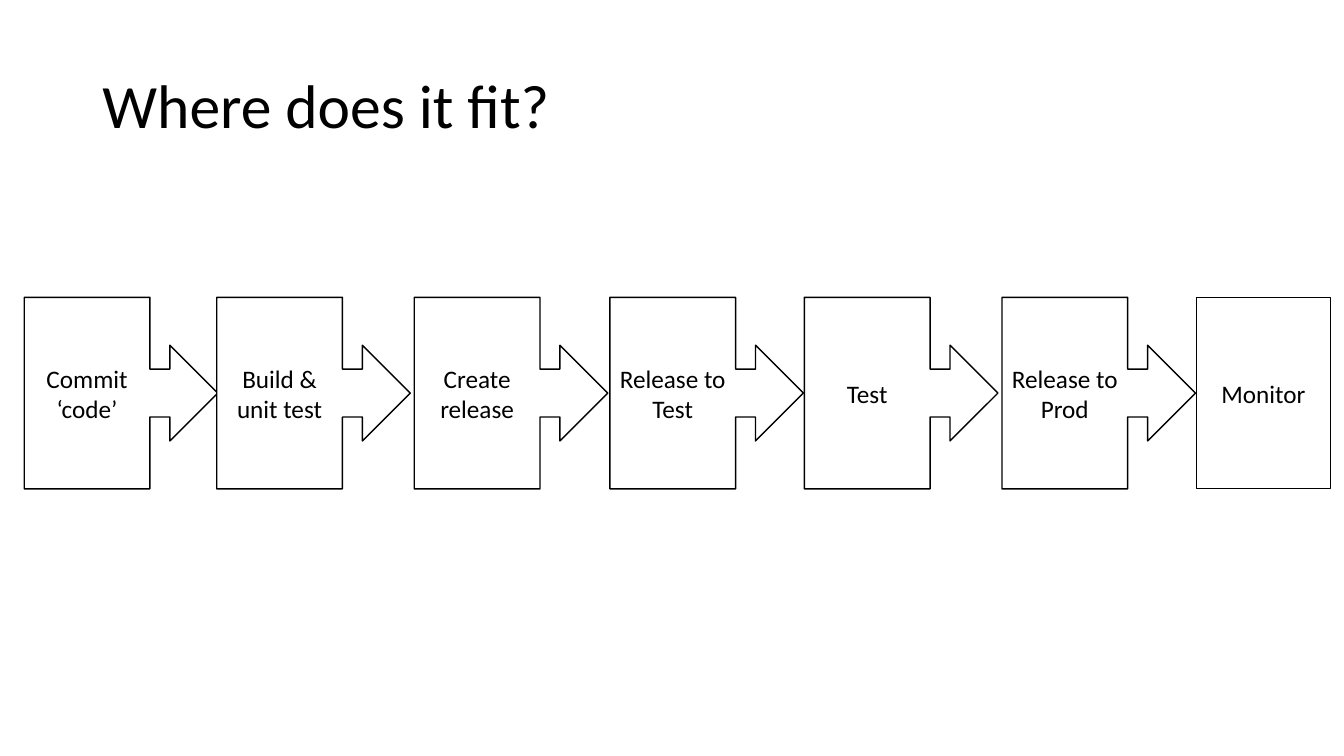
"""Build the delivery pipeline slide."""
from pptx import Presentation
from pptx.dml.color import RGBColor
from pptx.enum.shapes import MSO_SHAPE
from pptx.enum.text import MSO_ANCHOR, PP_ALIGN
from pptx.util import Pt

CALLOUT, BOX = MSO_SHAPE.RIGHT_ARROW_CALLOUT, MSO_SHAPE.RECTANGLE
LEFT, CENTER = PP_ALIGN.LEFT, PP_ALIGN.CENTER
MIDDLE = MSO_ANCHOR.MIDDLE
TITLE_ONLY = 5

COLORS = {"ink": "000000", "paper": "FFFFFF"}
FONT = "Calibri"
STAGE_TOP, STAGE_HEIGHT = 212.4, 136.8
CALLOUT_WIDTH, BOX_WIDTH = 138.24, 95.76
STAGES = [
    ("Commit ‘code’", 17.28),
    ("Build & unit test", 154.8),
    ("Create release", 295.92),
    ("Release to Test", 435.6),
    ("Test", 574.56),
    ("Release to Prod", 715.68),
]
LAST_STAGE = ("Monitor", 854.64)


def color(name):
    """Return the named colour."""
    return RGBColor.from_string(COLORS[name])


def write(tf, text, size=18, align=CENTER, spacing=1.0):
    """Put one formatted paragraph in a text frame."""
    tf.word_wrap = True
    tf.vertical_anchor = MIDDLE
    p = tf.paragraphs[0]
    p.alignment = align
    p.line_spacing = spacing
    r = p.add_run()
    r.text = text
    r.font.name = FONT
    r.font.size = Pt(size)
    r.font.color.rgb = color("ink")


class Deck:
    """Hold the presentation style and the current slide."""

    def __init__(self):
        """Start a widescreen presentation with one slide."""
        self.prs = Presentation()
        self.prs.slide_width, self.prs.slide_height = Pt(960), Pt(540)
        layout = self.prs.slide_layouts[TITLE_ONLY]
        self.s = self.prs.slides.add_slide(layout)

    def title(self, text, left, top, width, height):
        """Place and fill the title."""
        sp = self.s.shapes.title
        sp.left, sp.top = Pt(left), Pt(top)
        sp.width, sp.height = Pt(width), Pt(height)
        write(sp.text_frame, text, size=44, align=LEFT, spacing=0.9)

    def stage(self, text, left, kind=CALLOUT, width=CALLOUT_WIDTH):
        """Add one outlined pipeline stage."""
        sp = self.s.shapes.add_shape(
            kind, Pt(left), Pt(STAGE_TOP), Pt(width), Pt(STAGE_HEIGHT))
        sp.shadow.inherit = False
        sp.fill.solid()
        sp.fill.fore_color.rgb = color("paper")
        sp.line.color.rgb = color("ink")
        sp.line.width = Pt(1)
        write(sp.text_frame, text)


def main():
    """Build and save the slide."""
    deck = Deck()
    deck.title("Where does it fit?", 66, 25.2, 828, 104.4)
    *early, release_to_prod = STAGES
    for text, left in early:
        deck.stage(text, left)
    deck.stage(*LAST_STAGE, kind=BOX, width=BOX_WIDTH)
    deck.stage(*release_to_prod)
    deck.prs.save("out.pptx")


if __name__ == "__main__":
    main()
